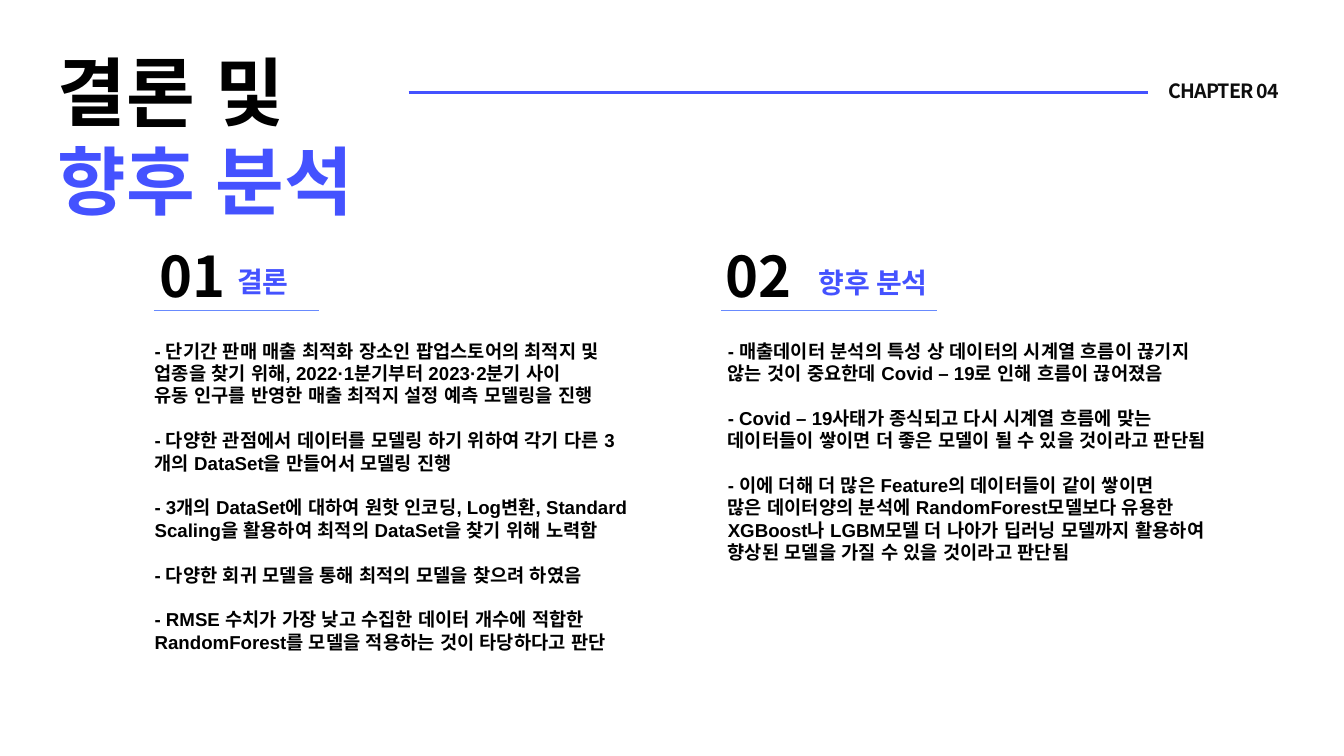
from lxml import etree
from pptx import Presentation
from pptx.dml.color import RGBColor
from pptx.enum.shapes import MSO_CONNECTOR
from pptx.enum.text import MSO_ANCHOR, MSO_AUTO_SIZE, PP_ALIGN
from pptx.oxml.ns import qn
from pptx.util import Inches, Pt

STRAIGHT = MSO_CONNECTOR.STRAIGHT
TOP = MSO_ANCHOR.TOP
FIXED = MSO_AUTO_SIZE.NONE
LEFT, CENTER = PP_ALIGN.LEFT, PP_ALIGN.CENTER

TITLE = ["결론 및", "향후 분석"]
CHAPTER = "CHAPTER 04"
# Each item is a list of paragraphs; a gap separates the items.
PARTS = [
    {
        "num": "01", "num_at": (2.28, 3.55, 6.5, 1.11),
        "head": "결론", "head_at": (3.43, 3.89, 1.57, 0.61),
        "rule": (2.29, 4.75), "body_at": (2.2, 5, 7.56, 5.15),
        "items": [
            ["- 단기간 판매 매출 최적화 장소인 팝업스토어의 최적지 및 업종을 찾기 위해, "
             "2022·1분기부터 2023·2분기 사이",
             "유동 인구를 반영한 매출 최적지 설정 예측 모델링을 진행"],
            ["- 다양한 관점에서 데이터를 모델링 하기 위하여 각기 다른 3개의 DataSet을 "
             "만들어서 모델링 진행"],
            ["- 3개의 DataSet에 대하여 원핫 인코딩, Log변환, Standard Scaling을 "
             "활용하여 최적의 DataSet을 찾기 위해 노력함"],
            ["- 다양한 회귀 모델을 통해 최적의 모델을 찾으려 하였음"],
            ["- RMSE 수치가 가장 낮고 수집한 데이터 개수에 적합한 RandomForest를 "
             "모델을 적용하는 것이 타당하다고 판단"],
        ],
    },
    {
        "num": "02", "num_at": (10.7, 3.55, 6.5, 1.11),
        "head": "향후 분석", "head_at": (12.08, 3.9, 7.64, 0.61),
        "rule": (10.73, 13.95), "body_at": (10.73, 5, 7.56, 4.14),
        "items": [
            ["- 매출데이터 분석의 특성 상 데이터의 시계열 흐름이 끊기지 않는 것이 "
             "중요한데 Covid – 19로 인해 흐름이 끊어졌음"],
            ["- Covid – 19사태가 종식되고 다시 시계열 흐름에 맞는 데이터들이 쌓이면 "
             "더 좋은 모델이 될 수 있을 것이라고 판단됨"],
            ["- 이에 더해 더 많은 Feature의 데이터들이 같이 쌓이면",
             "많은 데이터양의 분석에 RandomForest모델보다 유용한 XGBoost나 LGBM모델 "
             "더 나아가 딥러닝 모델까지 활용하여 향상된 모델을 가질 수 있을 것이라고 판단됨"],
        ],
    },
]

SANS, KOREAN = "Arial", "Noto Sans CJK KR"
THEME = {
    "black": "000000", "ink": "0D0D0D", "blue": "4452FF", "sky": "688AFE",
    "title": {"name": SANS, "size": Pt(80), "bold": True},
    "num": {"name": KOREAN, "size": Pt(60), "bold": True},
    "head": {"name": KOREAN, "size": Pt(30), "bold": True},
    "chapter": {"name": KOREAN, "size": Pt(21), "bold": True},
    "body": {"name": SANS, "size": Pt(20), "bold": True},
    "gap": 24,
}


def place(shape, at):
    for key, val in zip(("left", "top", "width", "height"), at):
        setattr(shape, key, Inches(val))
    frame = shape.text_frame
    for key, val in {"word_wrap": True, "auto_size": FIXED,
                     "vertical_anchor": TOP}.items():
        setattr(frame, key, val)
    return frame


def write(frame, rows, style, align=LEFT):
    """Fill a frame with rows of (text, colour, points before)."""
    for i, (text, color, gap) in enumerate(rows):
        para = frame.paragraphs[0] if i == 0 else frame.add_paragraph()
        props = para._p.get_or_add_pPr()
        props.set("marL", "0")
        props.set("indent", "0")
        etree.SubElement(props, qn("a:buNone"))
        for key, val in {"alignment": align, "line_spacing": 1.0,
                         "space_before": Pt(gap), "space_after": Pt(0)}.items():
            setattr(para, key, val)
        run = para.add_run()
        run.text = text
        for key, val in THEME[style].items():
            setattr(run.font, key, val)
        run.font.color.rgb = RGBColor.from_string(THEME[color])
        east = etree.SubElement(run._r.get_or_add_rPr(), qn("a:ea"))
        east.set("typeface", THEME[style]["name"])


def label(slide, at, text, style, color, align=LEFT):
    box = slide.shapes.add_textbox(0, 0, 0, 0)
    write(place(box, at), [(text, color, 0)], style, align)
    return box


def rule(slide, ends, y, color, width):
    x1, x2 = map(Inches, ends)
    line = slide.shapes.add_connector(STRAIGHT, x1, Inches(y), x2, Inches(y))
    line.line.color.rgb = RGBColor.from_string(THEME[color])
    line.line.width = Pt(width)
    etree.SubElement(line._element.spPr, qn("a:effectLst"))


def main():
    deck = Presentation()
    deck.slide_width, deck.slide_height = Inches(20), Inches(11.25)
    slide = deck.slides.add_slide(deck.slide_layouts[3])
    title, *bodies = slide.placeholders

    rows = [(text, color, 0) for text, color in zip(TITLE, ("black", "blue"))]
    write(place(title, (0.76, 0.63, 7.45, 2.79)), rows, "title")
    rule(slide, (6.08, 17.08), 1.38, "blue", 3)
    box = label(slide, (16.58, 1.12, 3.26, 0.45), CHAPTER, "chapter", "ink", CENTER)
    box.text_frame.paragraphs[0].runs[0]._r.get_or_add_rPr().set("spc", "-100")

    for part, body in zip(PARTS, bodies[:2]):
        label(slide, part["num_at"], part["num"], "num", "black")
        label(slide, part["head_at"], part["head"], "head", "blue")
        rule(slide, part["rule"], 4.62, "sky", 2)
        rows = [(text, "black", THEME["gap"] if i and not j else 0)
                for i, item in enumerate(part["items"])
                for j, text in enumerate(item)]
        write(place(body, part["body_at"]), rows, "body")

    for spare in bodies[2:]:
        spare._element.getparent().remove(spare._element)
    deck.save("out.pptx")


if __name__ == "__main__":
    main()
